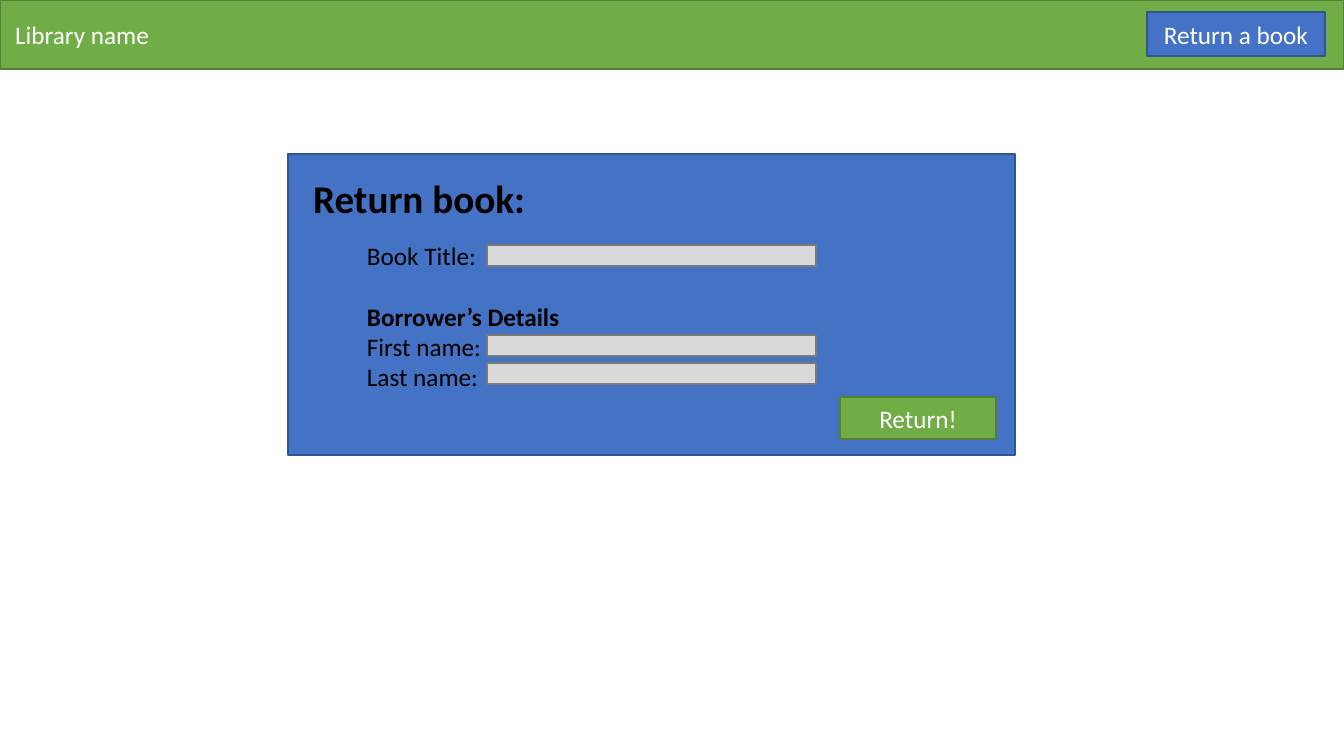
from pptx import Presentation
from pptx import util as u
from pptx.dml.color import RGBColor
from pptx.enum import shapes, text

PX = 914400 / 100.8
WIDTH, HEIGHT = 1344, 756
COLOURS = {
    "green": "70AD47", "green edge": "538035",
    "blue": "4472C4", "blue edge": "325491",
    "grey": "D9D9D9", "grey edge": "7A7A7A",
    "white": "FFFFFF", "black": "000000",
}


def px(length):
    """Turn a length in px into EMU."""
    return u.Emu(round(length * PX))


def colour(name):
    """Look up a named colour."""
    return RGBColor.from_string(COLOURS[name])


def format_text(paragraph, size, colour_name, bold=False):
    """Set the font of a whole paragraph."""
    font = paragraph.font
    font.name, font.size, font.bold = "Calibri", u.Pt(size), bold
    font.color.rgb = colour(colour_name)


def add_box(slide, left, top, width, height, fill, label="",
            alignment=text.PP_ALIGN.CENTER):
    """Draw a filled and outlined rectangle with an optional white label."""
    shape = slide.shapes.add_shape(
        shapes.MSO_SHAPE.RECTANGLE, px(left), px(top), px(width), px(height))
    shape.shadow.inherit = False
    shape.fill.solid()
    shape.fill.fore_color.rgb = colour(fill)
    shape.line.color.rgb = colour(fill + " edge")
    shape.line.width = u.Pt(1)
    if label:
        frame = shape.text_frame
        frame.text = label
        frame.vertical_anchor = text.MSO_ANCHOR.MIDDLE
        frame.paragraphs[0].alignment = alignment
        format_text(frame.paragraphs[0], 18, "white")
    return shape


def add_header(slide, left, top, width, height):
    """Draw the page header with the library name and the return button."""
    bar = add_box(slide, left, top, width, height, "green", "Library name",
                  text.PP_ALIGN.LEFT)
    bar.text_frame.margin_left = px(15)
    add_box(slide, left + width - 197, top + 12, 178, 44, "blue", "Return a book")


def add_heading(slide, left, top, width, height):
    """Place the slide title in front of the panel."""
    title = slide.shapes.title
    slide.shapes.element.append(title.element)
    title.left, title.top = px(left), px(top)
    title.width, title.height = px(width), px(height)
    frame = title.text_frame
    frame.text = "Return book:"
    frame.auto_size = text.MSO_AUTO_SIZE.NONE
    frame.vertical_anchor = text.MSO_ANCHOR.TOP
    frame.paragraphs[0].alignment = text.PP_ALIGN.LEFT
    format_text(frame.paragraphs[0], 28, "black", bold=True)


def add_labels(slide, left, top, width, height):
    """Write the form labels, with a gap above the borrower's details."""
    box = slide.shapes.add_textbox(px(left), px(top), px(width), px(height))
    frame = box.text_frame
    frame.word_wrap = True
    section = "Borrower’s Details"
    labels = ["Book Title:", section, "First name:", "Last name:"]
    frame.text = "\n".join(labels)
    for paragraph, label in zip(frame.paragraphs, labels):
        format_text(paragraph, 18, "black", bold=label == section)
        if label == section:
            paragraph.space_before = u.Pt(22)


def add_form(slide, left, top, width, height):
    """Draw the return form: panel, heading, labels, fields and button."""
    add_box(slide, left, top, width, height, "blue")
    add_heading(slide, left + 15, top + 15, 250, 57)
    add_labels(slide, left + 69, top + 81, 590, 163)
    for offset in (91, 181, 209):
        add_box(slide, left + 199, top + offset, 329, 21, "grey")
    add_box(slide, left + width - 175, top + height - 58, 156, 42, "green", "Return!")


def main():
    """Build and save the presentation."""
    presentation = Presentation()
    presentation.slide_width, presentation.slide_height = px(WIDTH), px(HEIGHT)
    slide = presentation.slides.add_slide(presentation.slide_layouts[5])
    add_header(slide, 0, 0, WIDTH, 69)
    add_form(slide, 288, 154, 727, 301)
    presentation.save("out.pptx")


if __name__ == "__main__":
    main()
